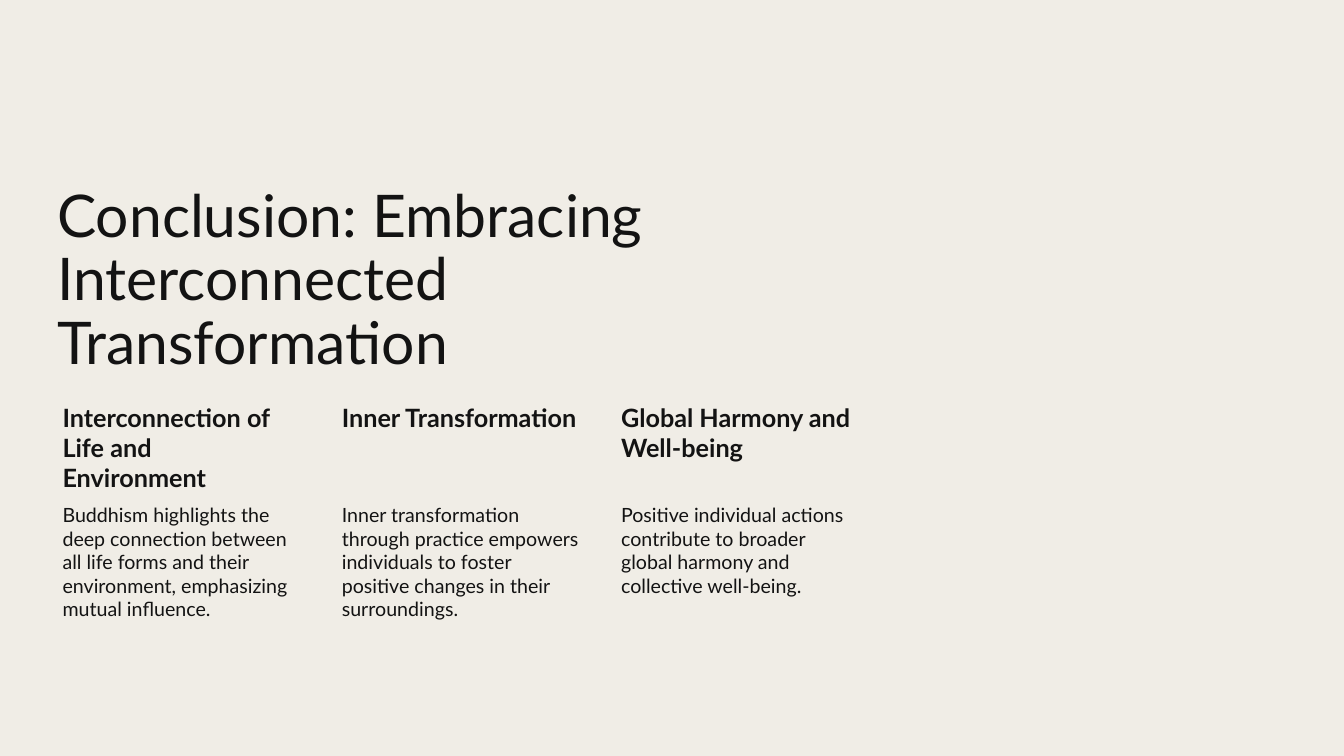
from pptx import Presentation, util as u
from pptx.dml.color import RGBColor
from pptx.enum import text

COLORS = {"background": "F0EDE6", "ink": "131313"}
FONT = "Lato"
LEFT, COLUMN_WIDTH, COLUMN_STEP = 0.47, 2.52, 2.77
HEADING_TOP, HEADING_HEIGHT, BODY_HEIGHT = 3.96, 1.01, 1.43

columns = [
    ("Interconnection of Life and Environment",
     "Buddhism highlights the deep connection between all life forms and their "
     "environment, emphasizing mutual influence."),
    ("Inner Transformation",
     "Inner transformation through practice empowers individuals to foster "
     "positive changes in their surroundings."),
    ("Global Harmony and Well-being",
     "Positive individual actions contribute to broader global harmony and "
     "collective well-being."),
]

presentation = Presentation()
presentation.slide_width = u.Inches(13.33)
presentation.slide_height = u.Inches(7.5)
slide = presentation.slides.add_slide(presentation.slide_layouts[6])
slide.background.fill.solid()
slide.background.fill.fore_color.rgb = RGBColor.from_string(COLORS["background"])


def add_text(words, box, insets, size, bold=False, anchor=text.MSO_ANCHOR.TOP, line_spacing=1.0):
    shape = slide.shapes.add_textbox(*[u.Inches(length) for length in box])
    frame = shape.text_frame
    frame.word_wrap = True
    frame.vertical_anchor = anchor
    frame.margin_left, frame.margin_top, frame.margin_right, frame.margin_bottom = [
        u.Inches(inset) for inset in insets]
    paragraph = frame.paragraphs[0]
    paragraph.line_spacing = line_spacing
    run = paragraph.add_run()
    run.text = words
    run.font.name = FONT
    run.font.size = u.Pt(size)
    run.font.bold = bold
    run.font.color.rgb = RGBColor.from_string(COLORS["ink"])


title_width = 2 * COLUMN_STEP + COLUMN_WIDTH
add_text("Conclusion: Embracing Interconnected Transformation",
         (LEFT, 1.78, title_width, 2.01), (0.1, 0.05, 0.15, 0.05), 42,
         anchor=text.MSO_ANCHOR.BOTTOM, line_spacing=0.9)

for index, (heading, body) in enumerate(columns):
    left = LEFT + index * COLUMN_STEP
    add_text(heading, (left, HEADING_TOP, COLUMN_WIDTH, HEADING_HEIGHT),
             (0.15, 0.03, 0.03, 0.03), 18, bold=True)
    add_text(body, (left, HEADING_TOP + HEADING_HEIGHT, COLUMN_WIDTH, BODY_HEIGHT),
             (0.15, 0.02, 0.02, 0.02), 14)

presentation.save("out.pptx")
